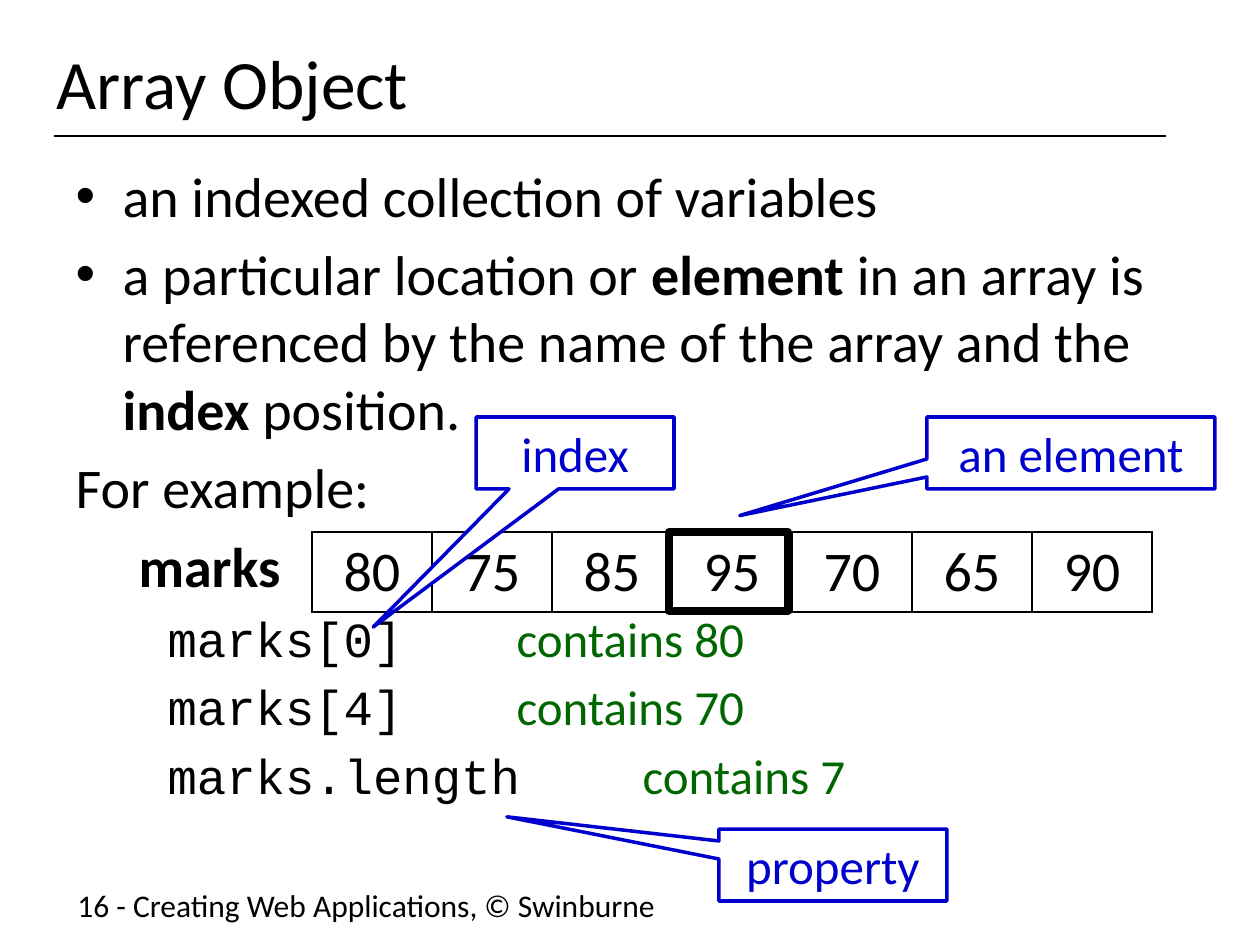
"""Build the Array Object slide with its indexed table and labelled callouts."""
import dataclasses
import typing

import lxml.etree
import pptx
import pptx.dml.color
import pptx.enum.shapes
import pptx.enum.text
import pptx.oxml.ns
import pptx.util

EMU_PER_PX = 914400 / 126
ALIGN = pptx.enum.text.PP_ALIGN
ANCHOR = pptx.enum.text.MSO_ANCHOR
SHAPE = pptx.enum.shapes.MSO_SHAPE


@dataclasses.dataclass(frozen=True)
class Theme:
    ink: str = "000000"
    paper: str = "FFFFFF"
    label: str = "0000CC"
    answer: str = "006600"
    sans: str = "Calibri"
    code: str = "Courier New"
    title_size: float = 39.6
    body_size: float = 32
    detail_size: float = 28
    footer_size: float = 18


THEME = Theme()


class Box(typing.NamedTuple):
    left: int
    top: int
    width: int
    height: int


class Span(typing.NamedTuple):
    text: str
    bold: bool = False
    font: str = THEME.sans
    color: str = THEME.ink


class Line(typing.NamedTuple):
    spans: list[Span]
    margin: int = 0
    indent: int = 0
    bullet: bool = False
    level: int = 0
    size: float = THEME.body_size


class Callout(typing.NamedTuple):
    text: str
    box: Box
    tail: tuple[float, float]


def example(expression: str, answer: str) -> Line:
    spans = [Span(expression + "\t", font=THEME.code), Span(answer, color=THEME.answer)]
    return Line(spans, margin=63, indent=29, level=1, size=THEME.detail_size)


BODY = [
    Line([Span("an indexed collection of variables")], 47, -47, True),
    Line([
        Span("a particular location or "), Span("element", True),
        Span(" in an array is referenced by the name of the array and the "),
        Span("index", True), Span(" position."),
    ], 47, -47, True),
    Line([Span("For example:")]),
    Line([Span("marks", True)], margin=63),
    example("marks[0]", "contains 80"),
    example("marks[4]", "contains 70"),
    example("marks.length", "contains 7"),
]
MARKS = [80, 75, 85, 95, 70, 65, 90]
MARKS_BOX = Box(312, 532, 840, 80)
HIGHLIGHT_BOX = Box(669, 532, 119, 79)
CALLOUTS = [
    Callout("property", Box(719, 829, 228, 72), (-1.43, -0.67)),
    Callout("index", Box(476, 417, 198, 72), (-1.02, 2.42)),
    Callout("an element", Box(927, 417, 288, 72), (-1.15, 0.87)),
]


def px(length: float) -> pptx.util.Emu:
    return pptx.util.Emu(round(length * EMU_PER_PX))


def place(box: Box) -> list[pptx.util.Emu]:
    return [px(length) for length in box]


def rgb(color: str) -> pptx.dml.color.RGBColor:
    return pptx.dml.color.RGBColor.from_string(color)


def add_xml(parent, tag: str, **attributes: str):
    return lxml.etree.SubElement(parent, pptx.oxml.ns.qn(tag), attributes)


def write(paragraph, text: str, *, size: float, color: str = THEME.ink,
          font: str = THEME.sans, bold: bool = False, align=ALIGN.LEFT) -> None:
    paragraph.alignment = align
    run = paragraph.add_run()
    run.text = text
    run.font.size = pptx.util.Pt(size)
    run.font.name = font
    run.font.bold = bold
    run.font.color.rgb = rgb(color)


def draw_title(slide) -> None:
    title = slide.shapes.title
    title.left, title.top, title.width, title.height = place(Box(44, 38, 1153, 87))
    title.text_frame.vertical_anchor = ANCHOR.MIDDLE
    title.text_frame.auto_size = pptx.enum.text.MSO_AUTO_SIZE.NONE
    write(title.text_frame.paragraphs[0], "Array Object", size=THEME.title_size)
    rule = slide.shapes.add_connector(
        pptx.enum.shapes.MSO_CONNECTOR.STRAIGHT, px(54), px(136), px(1166), px(136))
    rule.line.color.rgb = rgb(THEME.ink)
    rule.line.width = pptx.util.Pt(0.75)
    add_xml(rule._element.spPr, "a:effectLst")


def draw_body(slide, lines: list[Line]) -> None:
    body = slide.placeholders[1]
    body.left, body.top, body.width, body.height = place(Box(63, 155, 1134, 689))
    frame = body.text_frame
    frame.auto_size = pptx.enum.text.MSO_AUTO_SIZE.NONE
    for number, line in enumerate(lines):
        paragraph = frame.add_paragraph() if number else frame.paragraphs[0]
        paragraph.level = line.level
        if number == 0:
            paragraph.space_before = pptx.util.Pt(0)
        properties = paragraph._p.get_or_add_pPr()
        properties.set("marL", str(px(line.margin)))
        properties.set("indent", str(px(line.indent)))
        properties.set("defTabSz", str(px(126)))
        if line.bullet:
            add_xml(properties, "a:buFont", typeface="Arial")
            add_xml(properties, "a:buChar", char="•")
        else:
            add_xml(properties, "a:buNone")
        for span in line.spans:
            write(paragraph, span.text, size=line.size, color=span.color,
                  font=span.font, bold=span.bold)


def draw_footer(slide) -> None:
    footer = slide.shapes.add_textbox(*place(Box(65, 880, 694, 49)))
    footer.text_frame.word_wrap = True
    write(footer.text_frame.paragraphs[0],
          "16 - Creating Web Applications, © Swinburne", size=THEME.footer_size)


def draw_marks(slide, marks: list[int], box: Box) -> None:
    table = slide.shapes.add_table(1, len(marks), *place(box)).table
    table.first_row = table.horz_banding = False
    for column, mark in enumerate(marks):
        table.columns[column].width = px(box.width / len(marks))
        cell = table.cell(0, column)
        write(cell.text_frame.paragraphs[0], str(mark), size=THEME.body_size,
              align=ALIGN.CENTER)
        properties = cell._tc.get_or_add_tcPr()
        for side in ("a:lnL", "a:lnR", "a:lnT", "a:lnB"):
            border = add_xml(properties, side, w=str(pptx.util.Pt(1)))
            add_xml(add_xml(border, "a:solidFill"), "a:srgbClr", val=THEME.ink)
        cell.fill.background()


def draw_outline(slide, preset, box: Box, color: str, width: float):
    shape = slide.shapes.add_shape(preset, *place(box))
    shape.shadow.inherit = False
    shape.fill.background()
    shape.line.color.rgb = rgb(color)
    shape.line.width = pptx.util.Pt(width)
    return shape


def draw_callout(slide, callout: Callout) -> None:
    shape = draw_outline(slide, SHAPE.RECTANGULAR_CALLOUT, callout.box, THEME.label, 2)
    shape.fill.solid()
    shape.fill.fore_color.rgb = rgb(THEME.paper)
    shape.adjustments[0], shape.adjustments[1] = callout.tail
    shape.text_frame.word_wrap = True
    shape.text_frame.vertical_anchor = ANCHOR.MIDDLE
    write(shape.text_frame.paragraphs[0], callout.text, size=THEME.detail_size,
          color=THEME.label, align=ALIGN.CENTER)


def main() -> None:
    deck = pptx.Presentation()
    deck.slide_width, deck.slide_height = px(1260), px(945)
    slide = deck.slides.add_slide(deck.slide_layouts[1])
    draw_title(slide)
    draw_body(slide, BODY)
    draw_footer(slide)
    draw_marks(slide, MARKS, MARKS_BOX)
    for callout in CALLOUTS:
        draw_callout(slide, callout)
    draw_outline(slide, SHAPE.RECTANGLE, HIGHLIGHT_BOX, THEME.ink, 4.5)
    deck.save("out.pptx")


if __name__ == "__main__":
    main()
